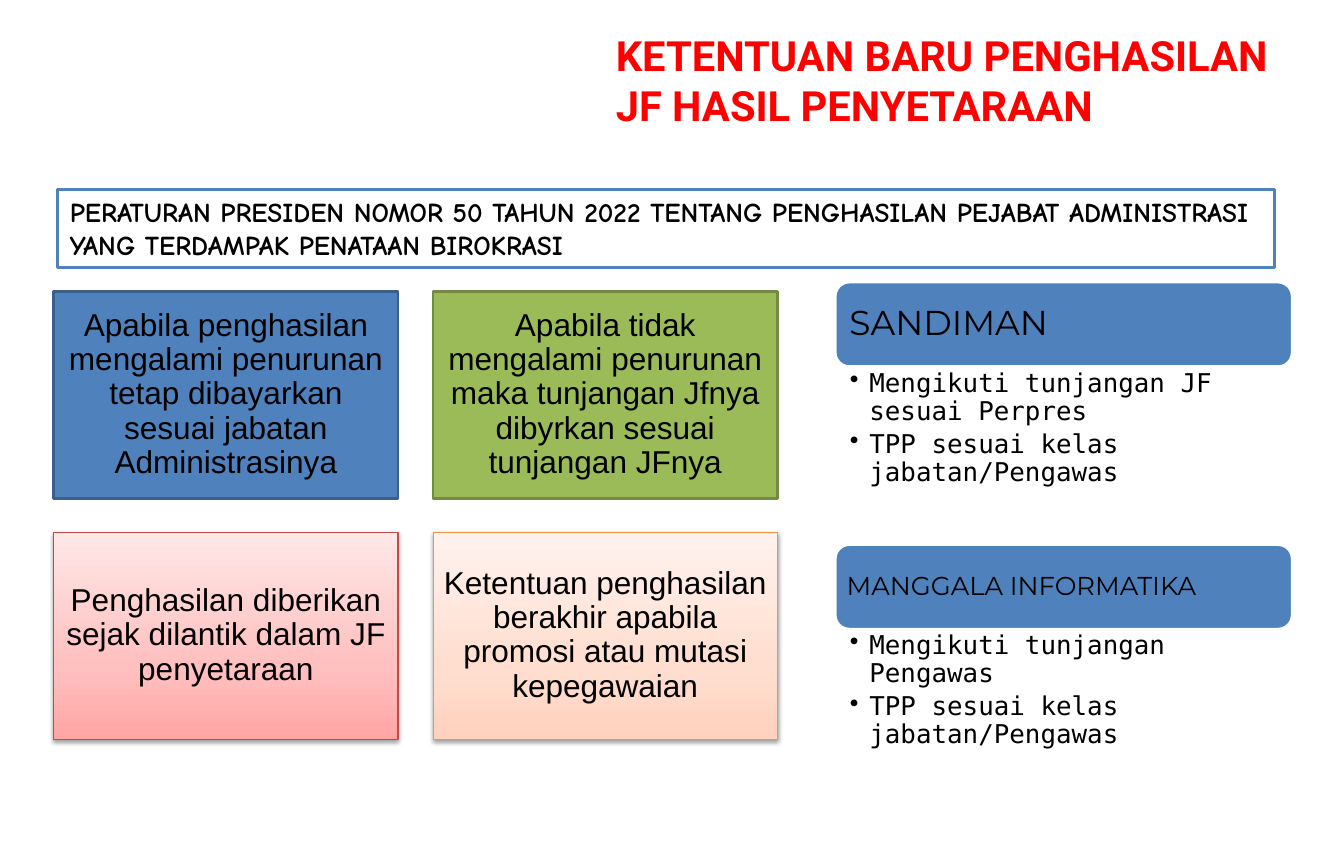
from lxml import etree
from pptx import Presentation
from pptx import util as u
from pptx.dml import color
from pptx.enum import shapes, text
from pptx.oxml import ns

BLUE, BLACK, WHITE = "4F81BD", "000000", "FFFFFF"
CENTER = text.PP_ALIGN.CENTER
MIDDLE = text.MSO_ANCHOR.MIDDLE


def rgb(value):
    return color.RGBColor.from_string(value)


def add_xml(parent, tag, **attributes):
    return etree.SubElement(parent, ns.qn(tag), attributes)


def write(shape, lines, font, size, ink=BLACK, bold=False, align=text.PP_ALIGN.LEFT,
          anchor=text.MSO_ANCHOR.TOP, insets=(0.3, 0.15), spacing=None,
          after=0, bullet=False):
    """Fill a shape with paragraphs; insets are (horizontal, vertical) in cm."""
    frame = shape.text_frame
    frame.word_wrap = True
    frame.vertical_anchor = anchor
    frame.margin_left = frame.margin_right = u.Cm(insets[0])
    frame.margin_top = frame.margin_bottom = u.Cm(insets[1])
    for index, line in enumerate(lines):
        paragraph = frame.add_paragraph() if index else frame.paragraphs[0]
        paragraph.alignment = align
        if spacing:
            paragraph.line_spacing = spacing
        paragraph.space_after = u.Pt(after)
        if bullet:
            properties = paragraph._p.get_or_add_pPr()
            hanging = u.Cm(0.48)
            properties.set("marL", str(hanging))
            properties.set("indent", str(-hanging))
            add_xml(properties, "a:buChar", char="•")
        run = paragraph.add_run()
        run.text = line
        run.font.name = font
        run.font.size = u.Pt(size)
        run.font.bold = bold
        run.font.color.rgb = rgb(ink)


class SlideBuilder:
    """Holds the shared style and the current slide."""
    card_font, heading_font, list_font = "Arial", "Montserrat", "DejaVu Sans Mono"
    tight = 0.9

    def __init__(self, slide):
        self.slide = slide

    def text_box(self, left, top, width, height, lines, **style):
        box = self.slide.shapes.add_textbox(*map(u.Cm, (left, top, width, height)))
        write(box, lines, **style)

    def panel(self, left, top, width, height, fill, line, line_width=2,
              kind=shapes.MSO_SHAPE.RECTANGLE):
        shape = self.slide.shapes.add_shape(kind, *map(u.Cm, (left, top, width, height)))
        shape.shadow.inherit = False
        shape.line.color.rgb = rgb(line)
        shape.line.width = u.Pt(line_width)
        if isinstance(fill, str):
            shape.fill.solid()
            shape.fill.fore_color.rgb = rgb(fill)
        else:
            self.gradient(shape, fill)
            self.shadow(shape)
        return shape

    def gradient(self, shape, colours):
        shape.fill.gradient()
        shape.fill.gradient_angle = 90
        stops = shape._element.spPr.find(".//" + ns.qn("a:gsLst"))
        for stop in list(stops):
            stops.remove(stop)
        for percent, value in zip((0, 35, 100), colours):
            stop = add_xml(stops, "a:gs", pos=str(percent * 1000))
            add_xml(stop, "a:srgbClr", val=value)

    def shadow(self, shape):
        effects = shape._element.spPr.find(ns.qn("a:effectLst"))
        outer = add_xml(effects, "a:outerShdw", blurRad=str(u.Pt(3.1)),
                        dist=str(u.Pt(1.6)), dir="5400000", rotWithShape="0")
        add_xml(add_xml(outer, "a:srgbClr", val=BLACK), "a:alpha", val="38000")

    def card(self, left, top, label, fill, line, line_width):
        shape = self.panel(left, top, 8.46, 5.08, fill, line, line_width)
        write(shape, [label], self.card_font, 22, align=CENTER, anchor=MIDDLE,
              insets=(0.23, 0.23), spacing=self.tight)

    def position(self, top, name, size, inset, list_height, items):
        left, width, height = 20.52, 11.23, 2.08
        heading = self.panel(left, top, width, height, BLUE, WHITE,
                             kind=shapes.MSO_SHAPE.ROUNDED_RECTANGLE)
        write(heading, [name], self.heading_font, size, anchor=MIDDLE,
              insets=(inset, inset), spacing=self.tight)
        self.text_box(left, top + height, width, list_height, items,
                      font=self.list_font, size=18, insets=(0.36, 0.08),
                      spacing=self.tight, after=3.6, bullet=True)


def main():
    presentation = Presentation()
    presentation.slide_width = u.Cm(33.02)
    presentation.slide_height = u.Cm(21.08)
    builder = SlideBuilder(presentation.slides.add_slide(presentation.slide_layouts[6]))

    # Title
    builder.text_box(14.83, 0.58, 19.25, 2.8,
                     ["KETENTUAN BARU PENGHASILAN", "JF HASIL PENYETARAAN"],
                     font="Roboto", size=29, ink="FF0000", bold=True)

    # Regulation
    regulation = builder.panel(1.42, 4.65, 29.9, 1.93, WHITE, BLUE)
    write(regulation, ["PERATURAN PRESIDEN NOMOR 50 TAHUN 2022 TENTANG PENGHASILAN "
                       "PEJABAT ADMINISTRASI YANG TERDAMPAK PENATAAN BIROKRASI"],
          "Comic Neue", 19, bold=True)

    # Income rules in a two by two grid
    cards = [
        ("Apabila penghasilan mengalami penurunan tetap dibayarkan sesuai jabatan "
         "Administrasinya", BLUE, "3A5F8C", 2),
        ("Apabila tidak mengalami penurunan maka tunjangan Jfnya dibyrkan sesuai "
         "tunjangan JFnya", "9BBB59", "738A42", 2),
        ("Penghasilan diberikan sejak dilantik dalam JF penyetaraan",
         ("FFA6A5", "FFC0BF", "FFE7E7"), "BF4C48", 0.75),
        ("Ketentuan penghasilan berakhir apabila promosi atau mutasi kepegawaian",
         ("FFD2BD", "FFDED0", "FFF2ED"), "F69240", 0.75),
    ]
    for index, card in enumerate(cards):
        row, column = divmod(index, 2)
        builder.card(1.32 + 9.32 * column, 7.16 + 5.92 * row, *card)

    # Positions and their allowances
    grade_rule = "TPP sesuai kelas jabatan/Pengawas"
    builder.position(6.93, "SANDIMAN", 24, 0.25, 4.37,
                     ["Mengikuti tunjangan JF sesuai Perpres", grade_rule])
    builder.position(13.38, "MANGGALA INFORMATIKA", 18, 0.18, 3.4,
                     ["Mengikuti tunjangan Pengawas", grade_rule])

    presentation.save("out.pptx")


if __name__ == "__main__":
    main()
